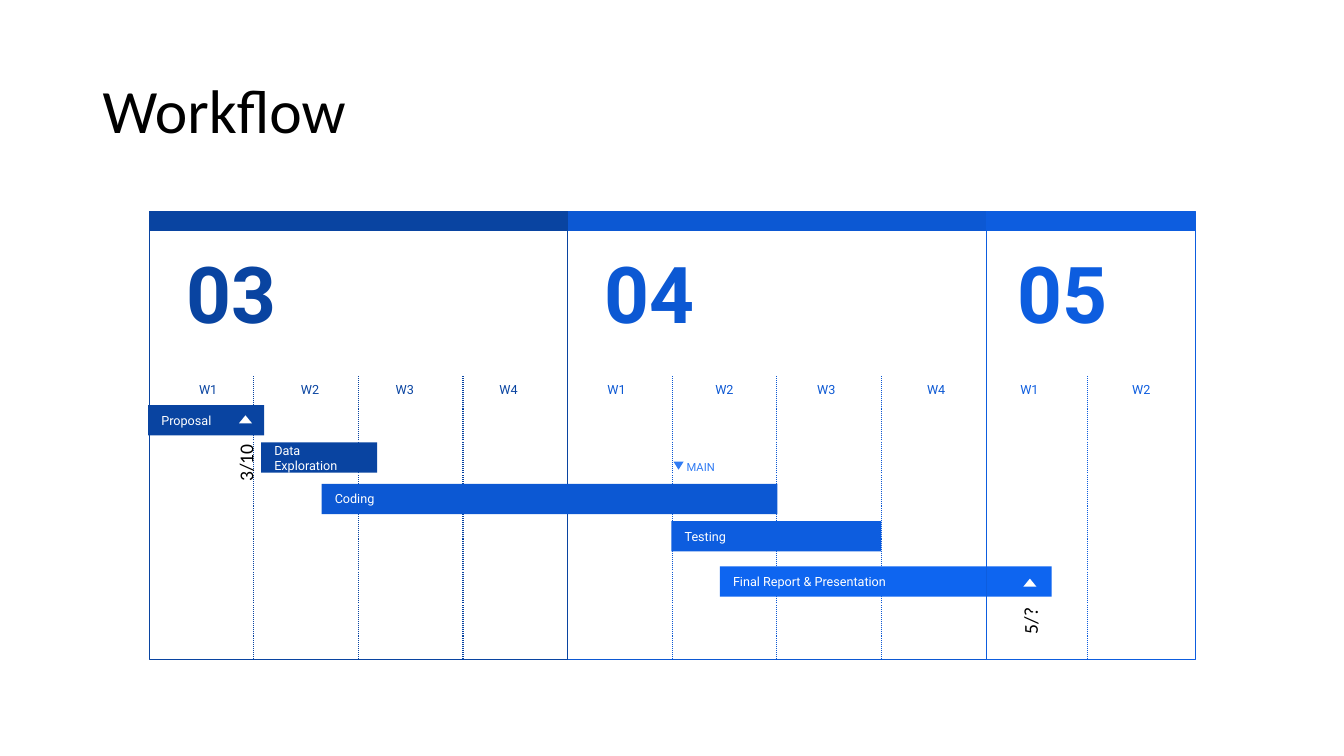
from lxml import etree
from pptx import Presentation
from pptx.dml.color import RGBColor
from pptx.enum.dml import MSO_LINE
from pptx.enum.shapes import MSO_CONNECTOR, MSO_SHAPE
from pptx.enum.text import MSO_ANCHOR, PP_ALIGN
from pptx.oxml.ns import qn
from pptx.util import Inches, Pt

RECTANGLE, TRIANGLE = MSO_SHAPE.RECTANGLE, MSO_SHAPE.ISOSCELES_TRIANGLE
LEFT, CENTER, RIGHT = PP_ALIGN.LEFT, PP_ALIGN.CENTER, PP_ALIGN.RIGHT
MIDDLE, TOP = MSO_ANCHOR.MIDDLE, MSO_ANCHOR.TOP

NAVY, BLUE, AZURE, BRIGHT, SKY = "0944A1", "0C58D3", "0D5DDF", "0E65F0", "307BF3"
WHITE, BLACK = "FFFFFF", "000000"

CHART_TOP, CHART_HEIGHT, HEADER_HEIGHT = 2.1, 4.44, 0.19
CHART_BOTTOM = CHART_TOP + CHART_HEIGHT
WEEK_TOP, WEEK_LABEL_HEIGHT = 3.73, 0.27
CHART_LEFT, WEEK = 1.48, 1.0375
APRIL_LEFT = CHART_LEFT + 4 * WEEK
MAY_LEFT = CHART_LEFT + 8 * WEEK
BAR_HEIGHT = 0.3

presentation = Presentation()
presentation.slide_width, presentation.slide_height = Inches(13.33), Inches(7.5)
slide = presentation.slides.add_slide(presentation.slide_layouts[6])


def add_item(left, top, width, height, text="", kind=None, fill=None, line=None,
             size=9, font="Roboto", color=WHITE, bold=None, align=LEFT,
             anchor=MIDDLE, insets=(0.13, 0.13), rotation=0, spacing=None):
    """Add a preset shape, or a text box when kind is None."""
    place = [Inches(value) for value in (left, top, width, height)]
    if kind is None:
        shape = slide.shapes.add_textbox(*place)
    else:
        shape = slide.shapes.add_shape(kind, *place)
        shape.shadow.inherit = False
        if fill:
            shape.fill.solid()
            shape.fill.fore_color.rgb = RGBColor.from_string(fill)
        else:
            shape.fill.background()
        if line:
            shape.line.color.rgb = RGBColor.from_string(line)
            shape.line.width = Pt(0.75)
        else:
            shape.line.fill.background()
    shape.rotation = rotation
    if text:
        frame = shape.text_frame
        frame.word_wrap = True
        frame.vertical_anchor = anchor
        frame.margin_left = frame.margin_right = Inches(insets[0])
        frame.margin_top = frame.margin_bottom = Inches(insets[1])
        paragraph = frame.paragraphs[0]
        paragraph.alignment = align
        paragraph.line_spacing = spacing
        run = paragraph.add_run()
        run.text = text
        run.font.size, run.font.name, run.font.bold = Pt(size), font, bold
        run.font.color.rgb = RGBColor.from_string(color)


def add_month(number, left, weeks, color, number_width, label_width, label_lefts, dividers):
    """Draw a month column; label_lefts and dividers are offsets from its left edge."""
    width = weeks * WEEK
    add_item(left, CHART_TOP, width, CHART_HEIGHT, kind=RECTANGLE, line=color)
    add_item(left, CHART_TOP, width, HEADER_HEIGHT, kind=RECTANGLE, fill=color)
    add_item(left, 2.3, number_width, 1.2, number, size=56, bold=True,
             color=color, align=CENTER)
    for week, offset in enumerate(label_lefts, start=1):
        add_item(left + offset, WEEK_TOP, label_width, WEEK_LABEL_HEIGHT, f"W{week}",
                 color=color, align=CENTER)
    for offset in dividers:
        x = Inches(left + offset)
        divider = slide.shapes.add_connector(
            MSO_CONNECTOR.STRAIGHT, x, Inches(CHART_BOTTOM), x, Inches(WEEK_TOP))
        divider.line.color.rgb = RGBColor.from_string(color)
        divider.line.width = Pt(0.75)
        divider.line.dash_style = MSO_LINE.ROUND_DOT
        etree.SubElement(divider._element.spPr, qn("a:effectLst"))


add_item(0.92, 0.4, 11.5, 1.45, "Workflow", size=44, font="Calibri", color=BLACK,
         insets=(0.1, 0.05), spacing=0.9)

inner_weeks = [week * WEEK for week in (1, 2, 3)]
add_month("04", APRIL_LEFT, 4, BLUE, 1.63, 0.71, (0.13, 1.2, 2.21, 3.3), inner_weeks)
add_month("03", CHART_LEFT, 4, NAVY, 1.63, 0.67, (0.25, 1.26, 2.2, 3.23), inner_weeks)

tasks = [
    ("Proposal", 1.47, 4.02, 1.15, NAVY),
    ("Data Exploration", 2.59, 4.39, 1.15, NAVY),
    ("Testing", 6.66, 5.17, 2.08, AZURE),
    ("Final Report & Presentation", 7.14, 5.62, 3.29, BRIGHT),
    ("Coding", 3.19, 4.8, 4.52, BLUE),
]
for name, left, top, width, color in tasks:
    add_item(left, top, width, BAR_HEIGHT, name, kind=RECTANGLE, fill=color)

add_item(6.68, 4.56, 0.77, 0.14, "MAIN", size=8, color=SKY)
add_item(6.68, 4.58, 0.1, 0.08, kind=TRIANGLE, fill=SKY, rotation=180)
for left, top in ((2.37, 4.12), (10.15, 5.74)):
    add_item(left, top, 0.13, 0.08, kind=TRIANGLE, fill=WHITE)

add_month("05", MAY_LEFT, 2, AZURE, 1.51, 0.74, (0.06, 1.17), (1.01, 2 * WEEK))

for due_date, left, top in (("3/10", 2.12, 4.41), ("5/?", 9.9, 6.03)):
    add_item(left, top, 0.64, 0.44, due_date, size=14, font="Calibri", color=BLACK,
             align=RIGHT, anchor=TOP, insets=(0.1, 0.1), rotation=270)

presentation.save("out.pptx")
